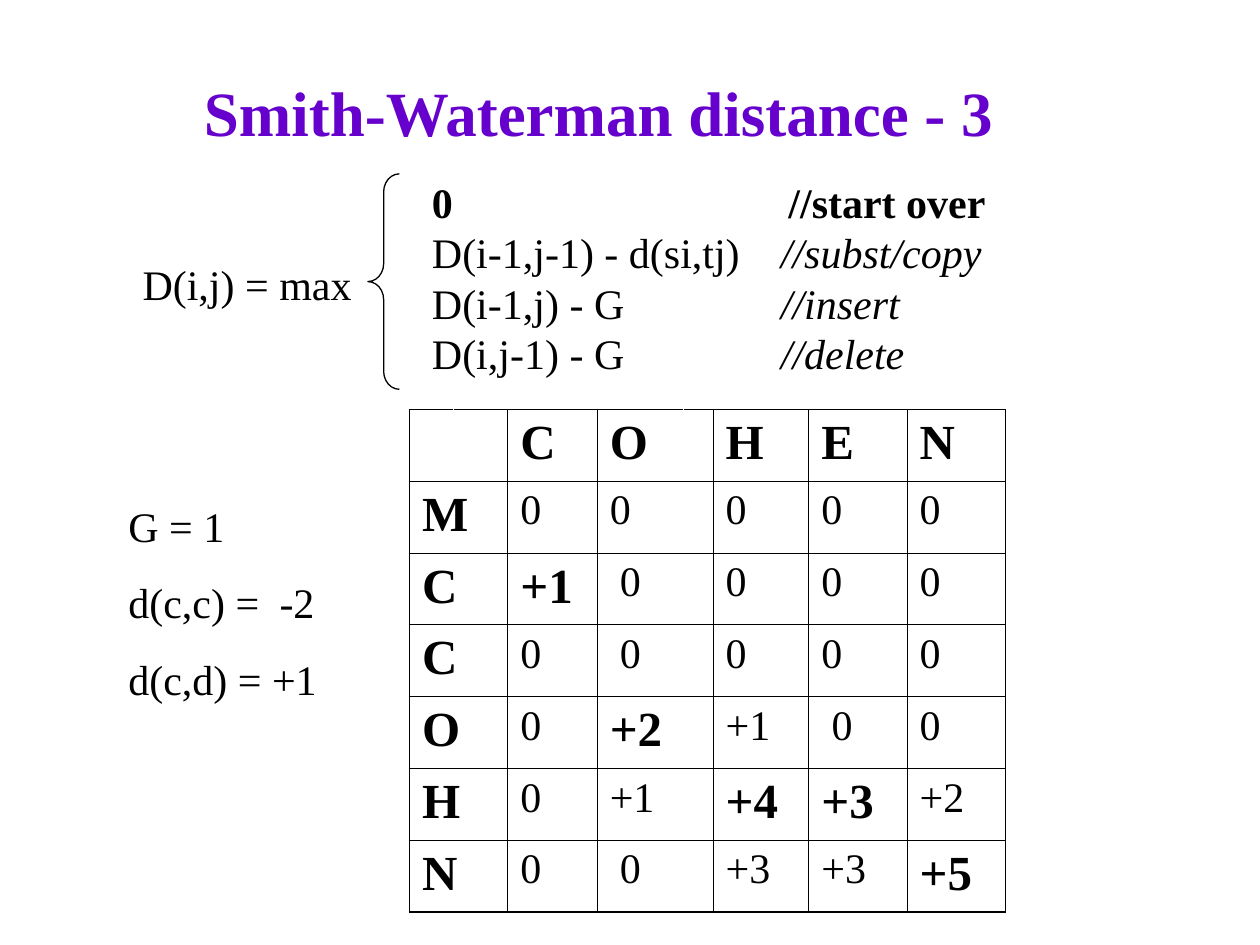
from lxml.etree import SubElement
from pptx import Presentation
from pptx.dml.color import RGBColor
from pptx.enum.shapes import MSO_SHAPE
from pptx.enum.text import MSO_ANCHOR, PP_ALIGN
from pptx.oxml.ns import qn
from pptx.util import Inches, Pt

BLACK, WHITE, PURPLE = "000000", "FFFFFF", "6600CC"


def write(p, text, size=24, color=BLACK, bold=False, italic=False):
    r = p.add_run()
    r.text = text
    r.font.name, r.font.size = "Times New Roman", Pt(size)
    r.font.bold, r.font.italic = bold, italic
    r.font.color.rgb = RGBColor.from_string(color)


def add_tab(p, inches):
    """Give the paragraph one left tab stop."""
    tabs = SubElement(p._p.get_or_add_pPr(), qn("a:tabLst"))
    SubElement(tabs, qn("a:tab"), pos=str(Inches(inches)), algn="l")


prs = Presentation()
prs.slide_width, prs.slide_height = Inches(10), Inches(7.5)
s = prs.slides.add_slide(prs.slide_layouts[5])

# Title
title = s.shapes.title
title.left, title.top = Inches(0.5), Inches(0.42)
title.width, title.height = Inches(8.5), Inches(0.92)
title.text_frame.vertical_anchor = MSO_ANCHOR.MIDDLE
p = title.text_frame.paragraphs[0]
p.alignment = PP_ALIGN.CENTER
write(p, "Smith-Waterman distance - 3", size=36, color=PURPLE, bold=True)

# Brace
brace = s.shapes.add_shape(MSO_SHAPE.LEFT_BRACE, Inches(2.92), Inches(1.38),
                           Inches(0.25), Inches(1.71))
brace.adjustments[0] = 0.57
brace.shadow.inherit = False
brace.fill.background()
brace.line.color.rgb = RGBColor.from_string(BLACK)
brace.line.width = Pt(0.75)

# Left side of the recurrence
tf = s.shapes.add_textbox(Inches(1.03), Inches(2), Inches(1.86), Inches(0.5)).text_frame
tf.word_wrap = False
tf.paragraphs[0].alignment = PP_ALIGN.RIGHT
write(tf.paragraphs[0], "D(i,j) = max")

# Cases: term, comment, tab stop
cases = [("0", "//start over", 2.83),
         ("D(i-1,j-1) - d(si,tj)", "//subst/copy", 2.77),
         ("D(i-1,j) - G", "//insert", 2.77),
         ("D(i,j-1) - G", "//delete", 2.77)]
tf = s.shapes.add_textbox(Inches(3.33), Inches(1.35), Inches(4.6), Inches(1.7)).text_frame
tf.word_wrap = False
for i, (term, comment, stop) in enumerate(cases):
    p = tf.add_paragraph() if i else tf.paragraphs[0]
    add_tab(p, stop)
    write(p, term + "\t", bold=i == 0)
    write(p, comment, bold=i == 0, italic=i > 0)

# Parameters
tf = s.shapes.add_textbox(Inches(0.92), Inches(3.92), Inches(1.92), Inches(1.72)).text_frame
tf.word_wrap = True
for i, text in enumerate(["G = 1", "d(c,c) =\t-2", "d(c,d) = +1"]):
    p = tf.add_paragraph() if i else tf.paragraphs[0]
    if i:
        p.space_before = Pt(15)
    if "\t" in text:
        add_tab(p, 1.2)
    write(p, text)

# Score table: the row label and the O column each span two grid columns
widths = [0.35, 0.43, 0.71, 0.68, 0.24, 0.76, 0.78, 0.78]
scores = ["M 0 0 0 0 0", "C +1 0 0 0 0", "C 0 0 0 0 0",
          "O 0 +2 +1 0 0", "H 0 +1 +4 +3 +2", "N 0 0 +3 +3 +5"]
rows = [["", *"COHEN"]] + [line.split() for line in scores]
starts = [0, 2, 3, 5, 6, 7]
on_path = {(2, 1), (4, 2), (5, 3), (5, 4), (6, 5)}
indented = {(2, 2), (3, 2), (4, 4), (6, 2)}
unmerged = {(0, 0), (0, 3), (1, 3)}
n_rows, n_cols = len(rows), len(widths)

table = s.shapes.add_table(n_rows, n_cols, Inches(3.25), Inches(3.25),
                           Inches(sum(widths)), Inches(0.57 * n_rows)).table
table.first_row = table.horz_banding = False
for column, width in zip(table.columns, widths):
    column.width = Inches(width)

for r, row in enumerate(rows):
    for c in (0, 3):
        if (r, c) not in unmerged:
            table.cell(r, c).merge(table.cell(r, c + 1))
    for c, text in enumerate(row):
        if text:
            strong = r == 0 or c == 0 or (r, c) in on_path
            p = table.cell(r, starts[c]).text_frame.paragraphs[0]
            if (r, c) in indented:
                p._p.get_or_add_pPr().set("marL", str(Inches(0.08)))
            write(p, text, size=28 if strong else 24, bold=strong)
    for c in range(n_cols):
        cell = table.cell(r, c)
        tcPr = cell._tc.get_or_add_tcPr()
        outer = {"L": c == 0, "R": c == n_cols - 1, "T": False, "B": r == n_rows - 1}
        hidden = {"L": (r, c - 1) in unmerged, "R": (r, c) in unmerged}
        for side, thick in outer.items():
            ln = SubElement(tcPr, qn("a:ln" + side), w=str(Pt(1.08 if thick else 0.45)))
            fill = SubElement(ln, qn("a:solidFill"))
            SubElement(fill, qn("a:srgbClr"), val=WHITE if hidden.get(side) else BLACK)
        cell.fill.background()

prs.save("out.pptx")
